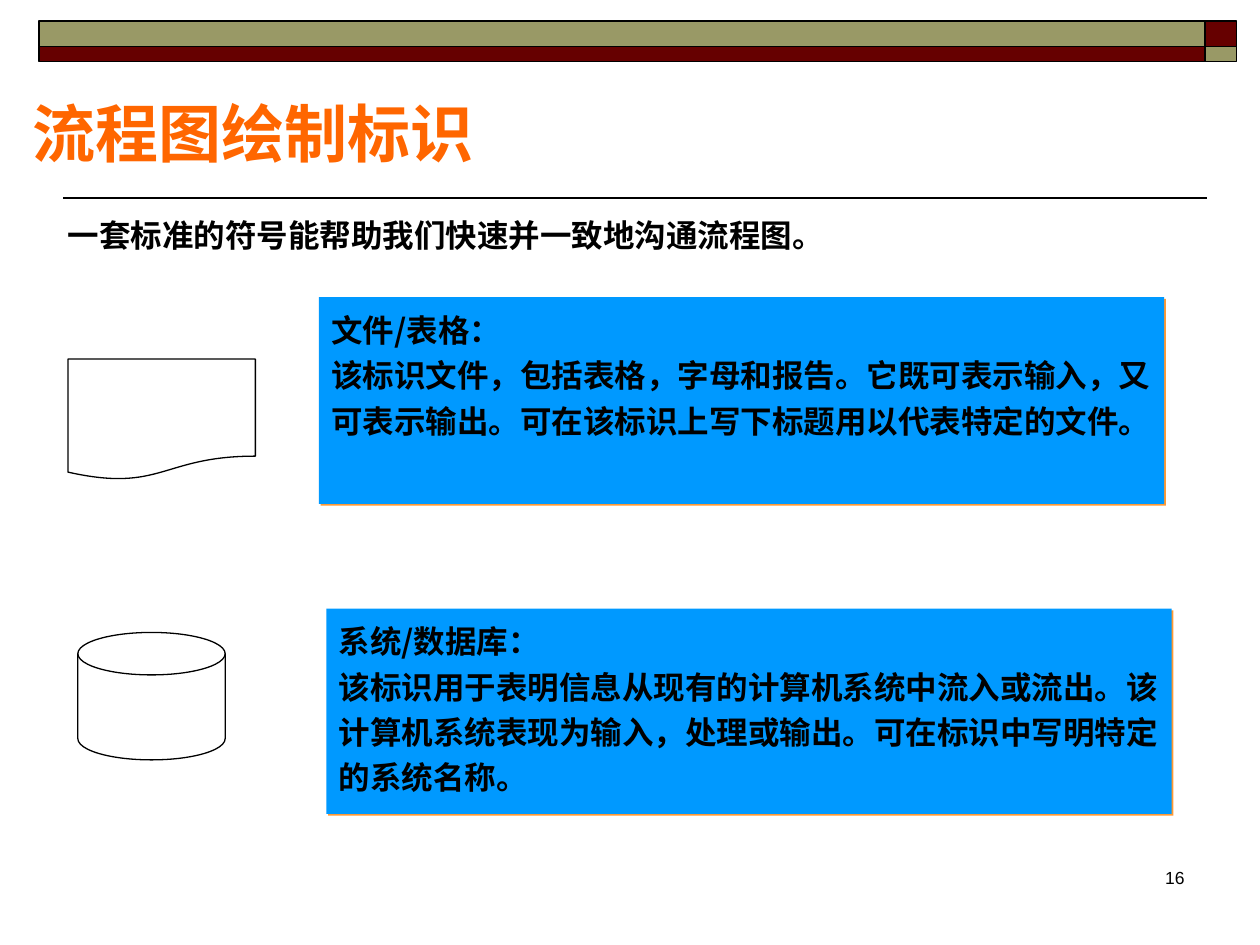
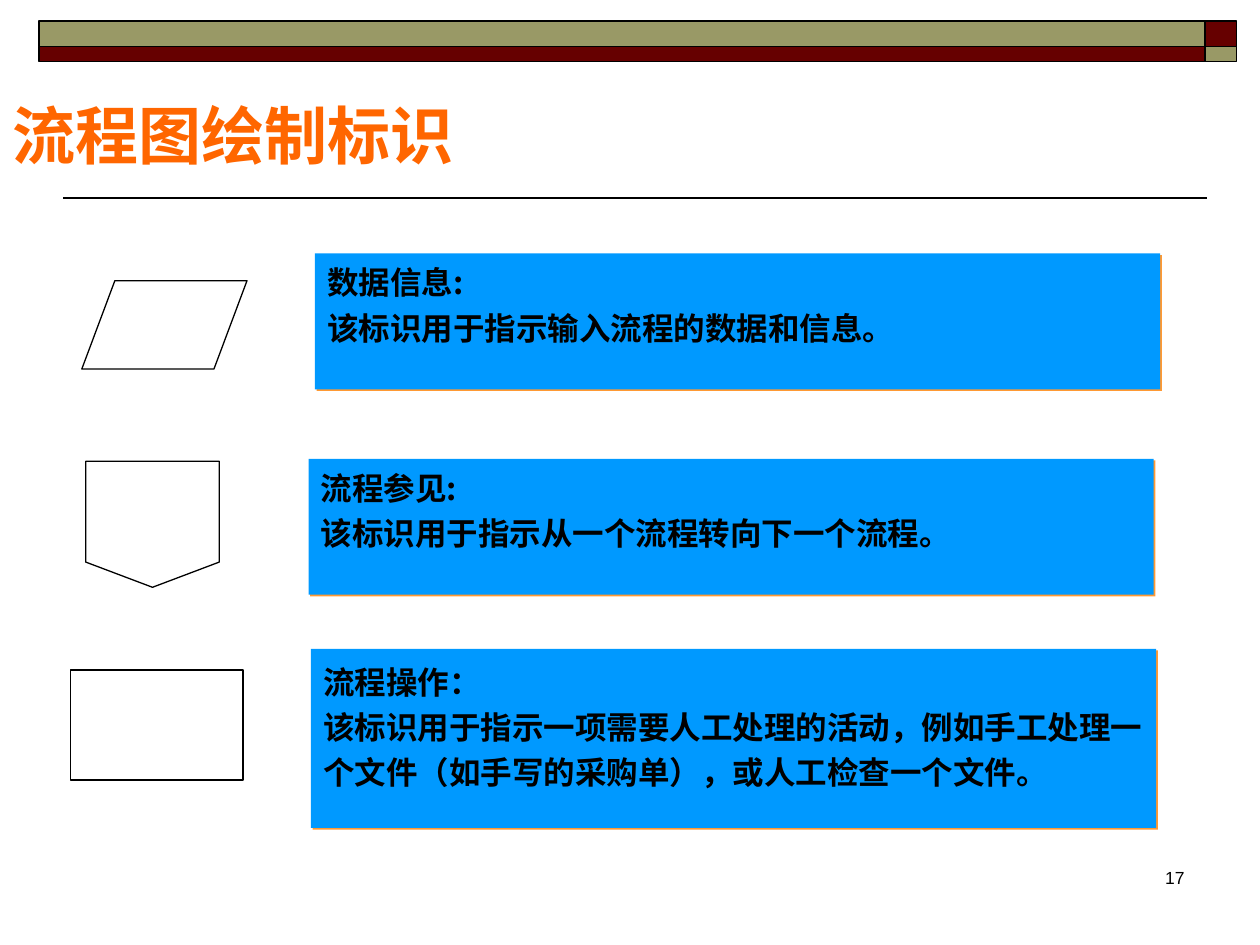
from dataclasses import dataclass

from lxml import etree
from pptx import Presentation
from pptx import util as u
from pptx.dml.color import RGBColor
from pptx.enum import shapes, text
from pptx.oxml.ns import qn

COLORS = {
    "olive": "999966",
    "maroon": "660000",
    "panel": "0099FF",
    "panel_shadow": "FF9933",
    "title": "FF6600",
    "ink": "000000",
}
CJK_FONT = "Noto Sans CJK SC"
PANEL_WIDTH = 17.04
BAND_COLUMNS = ((0.79, 23.5), (24.29, 0.64))
BAND_ROWS = ((0.43, 0.51), (0.94, 0.3))
TITLE_ONLY = 5
Symbol = shapes.MSO_SHAPE


@dataclass(frozen=True)
class Box:
    left: float
    top: float
    width: float
    height: float

    def lengths(self) -> tuple:
        return tuple(u.Cm(v) for v in (self.left, self.top, self.width, self.height))


@dataclass(frozen=True)
class Entry:
    symbol: Symbol
    symbol_box: Box
    panel_box: Box
    heading: str
    explanation: str
    heading_spacing: float = 1.2
    outline: float = 0.75


@dataclass(frozen=True)
class Page:
    number: int
    title_box: Box
    entries: tuple
    intro: str = ""


def rgb(name: str) -> RGBColor:
    return RGBColor.from_string(COLORS[name])


def style(paragraph, size: float, color: str = "ink", font: str = CJK_FONT,
          bold: bool = True, align=text.PP_ALIGN.LEFT) -> None:
    paragraph.alignment = align
    paragraph.font.size = u.Pt(size)
    paragraph.font.bold = bold
    paragraph.font.color.rgb = rgb(color)
    paragraph.font.name = font
    defaults = paragraph._p.pPr.find(qn("a:defRPr"))
    etree.SubElement(defaults, qn("a:ea"), typeface=CJK_FONT)


def draw_shape(slide, kind: Symbol, box: Box, fill: str = "", outline: float = 0):
    shape = slide.shapes.add_shape(kind, *box.lengths())
    shape.shadow.inherit = False
    if fill:
        shape.fill.solid()
        shape.fill.fore_color.rgb = rgb(fill)
    else:
        shape.fill.background()
    if outline:
        shape.line.color.rgb = rgb("ink")
        shape.line.width = u.Pt(outline)
    else:
        shape.line.fill.background()
    return shape


def draw_frame(slide) -> None:
    rule = slide.shapes.add_connector(
        shapes.MSO_CONNECTOR.STRAIGHT, u.Cm(24.33), u.Cm(3.99), u.Cm(1.27), u.Cm(3.99))
    rule.line.color.rgb = rgb("ink")
    rule.line.width = u.Pt(1)
    etree.SubElement(rule._element.spPr, qn("a:effectLst"))
    for row, (top, height) in enumerate(BAND_ROWS):
        for column, (left, width) in enumerate(BAND_COLUMNS):
            color = "olive" if row == column else "maroon"
            draw_shape(slide, Symbol.RECTANGLE, Box(left, top, width, height), color, 1)


def draw_title(slide, box: Box) -> None:
    title = slide.shapes.title
    title.left, title.top, title.width, title.height = box.lengths()
    title.text_frame.text = "流程图绘制标识"
    title.text_frame.vertical_anchor = text.MSO_ANCHOR.MIDDLE
    style(title.text_frame.paragraphs[0], 36, "title")


def draw_text(slide, box: Box, words: str):
    frame = slide.shapes.add_textbox(*box.lengths()).text_frame
    frame.word_wrap = True
    frame.text = words
    return frame.paragraphs[0]


def add_panel_shadow(panel) -> None:
    effects = panel._element.spPr.find(qn("a:effectLst"))
    shadow = etree.SubElement(effects, qn("a:outerShdw"), dist=str(u.Pt(1.4)),
                              dir="2700000", algn="ctr", rotWithShape="0")
    etree.SubElement(shadow, qn("a:srgbClr"), val=COLORS["panel_shadow"])


def draw_entry(slide, entry: Entry) -> None:
    draw_shape(slide, entry.symbol, entry.symbol_box, outline=entry.outline)
    panel = draw_shape(slide, Symbol.RECTANGLE, entry.panel_box, "panel")
    add_panel_shadow(panel)
    frame = panel.text_frame
    frame.word_wrap = True
    frame.vertical_anchor = text.MSO_ANCHOR.TOP
    frame.text = f"{entry.heading}\n{entry.explanation}"
    for paragraph, spacing in zip(frame.paragraphs, (entry.heading_spacing, 1.2)):
        paragraph.line_spacing = spacing
        style(paragraph, 18)


def draw_page(deck, page: Page) -> None:
    slide = deck.slides.add_slide(deck.slide_layouts[TITLE_ONLY])
    draw_frame(slide)
    draw_title(slide, page.title_box)
    if page.intro:
        intro = draw_text(slide, Box(1.12, 4.24, 23.7, 1.02), page.intro)
        intro.space_before = u.Pt(11.2)
        style(intro, 18, font="Times New Roman")
    for entry in page.entries:
        draw_entry(slide, entry)
    number = draw_text(slide, Box(18.85, 17.35, 5.28, 1.27), str(page.number))
    style(number, 10, font="Arial", bold=False, align=text.PP_ALIGN.RIGHT)


PAGES = (
    Page(
        16,
        Box(0.41, 1.3, 23.5, 2.72),
        (
            Entry(Symbol.FLOWCHART_DOCUMENT, Box(1.37, 7.24, 3.78, 2.44),
                  Box(6.43, 5.99, PANEL_WIDTH, 4.17), "文件/表格：",
                  "该标识文件，包括表格，字母和报告。它既可表示输入，又可表示输出。"
                  "可在该标识上写下标题用以代表特定的文件。"),
            Entry(Symbol.FLOWCHART_MAGNETIC_DISK, Box(1.57, 12.75, 2.97, 2.57),
                  Box(6.58, 12.27, PANEL_WIDTH, 4.14), "系统/数据库：",
                  "该标识用于表明信息从现有的计算机系统中流入或流出。"
                  "该计算机系统表现为输入，处理或输出。可在标识中写明特定的系统名称。"),
        ),
        "一套标准的符号能帮助我们快速并一致地沟通流程图。",
    ),
    Page(
        17,
        Box(0, 1.35, 11.91, 2.72),
        (
            Entry(Symbol.FLOWCHART_DATA, Box(1.65, 5.66, 3.33, 1.78),
                  Box(6.35, 5.11, PANEL_WIDTH, 2.74), "数据信息:",
                  "该标识用于指示输入流程的数据和信息。", heading_spacing=1.1),
            Entry(Symbol.FLOWCHART_OFFPAGE_CONNECTOR, Box(1.73, 9.3, 2.69, 2.54),
                  Box(6.22, 9.25, PANEL_WIDTH, 2.74), "流程参见:",
                  "该标识用于指示从一个流程转向下一个流程。", heading_spacing=1.1),
            Entry(Symbol.RECTANGLE, Box(1.42, 13.51, 3.48, 2.21),
                  Box(6.27, 13.08, PANEL_WIDTH, 3.61), "流程操作：",
                  "该标识用于指示一项需要人工处理的活动，"
                  "例如手工处理一个文件（如手写的采购单），或人工检查一个文件。", outline=1),
        ),
    ),
)


def main() -> None:
    deck = Presentation()
    deck.slide_width, deck.slide_height = u.Cm(25.4), u.Cm(19.05)
    for page in PAGES:
        draw_page(deck, page)
    deck.save("out.pptx")


if __name__ == "__main__":
    main()
